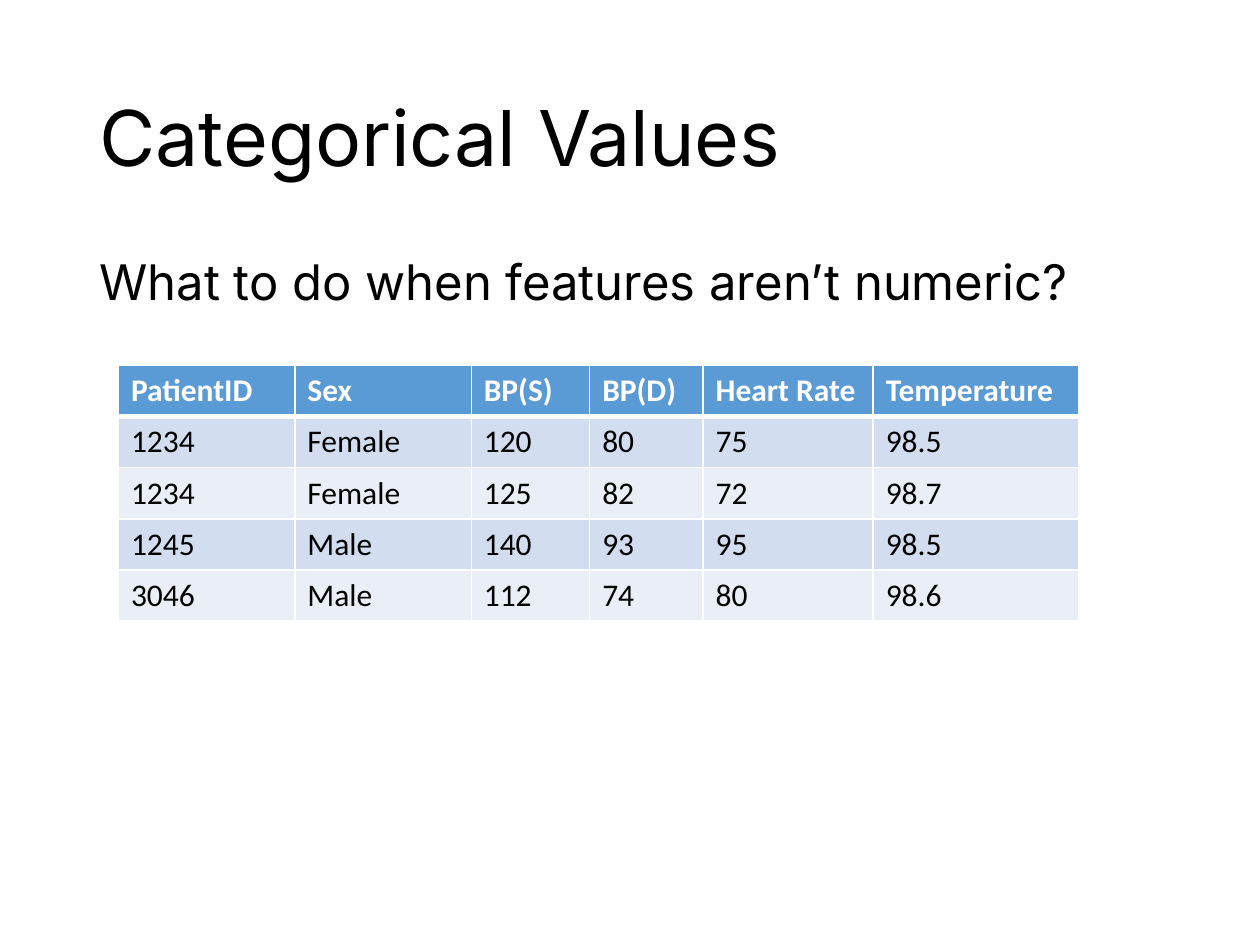
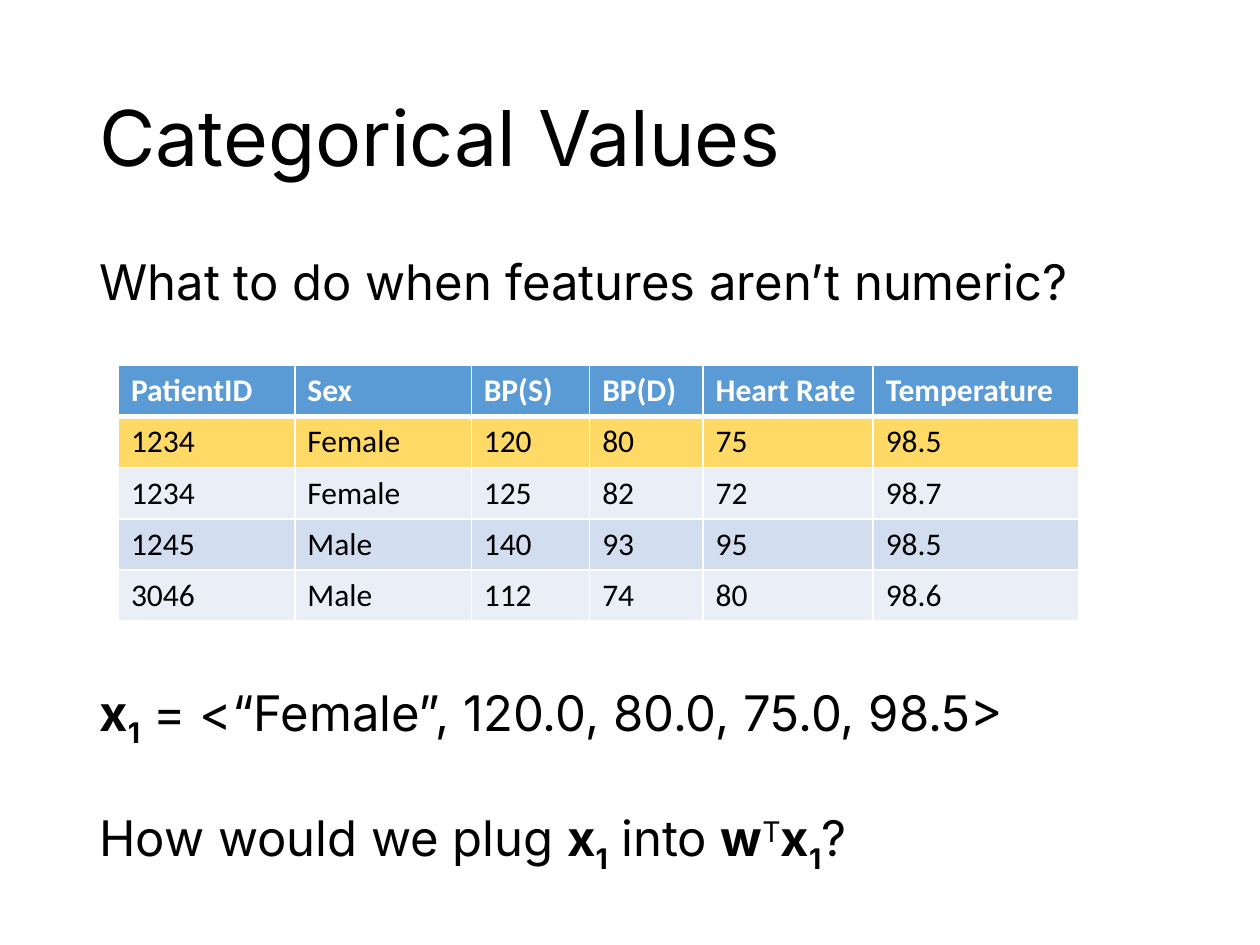
from pptx import Presentation
from pptx import util as u
from pptx.dml.color import RGBColor
from pptx.enum import text
from pptx.oxml import parse_xml
from pptx.oxml.ns import nsdecls

COLORS = {"ink": "000000", "paper": "FFFFFF", "header": "5B9BD5",
          "band_dark": "D2DEEF", "band_light": "EAEFF7", "highlight": "FFD966"}
HEADING_FONT, TABLE_FONT = "Inter", "Calibri"
LEFT, WIDTH = 0.69, 8.62

TITLE = "Categorical Values"
QUESTION = (0, [("What to do when features aren’t numeric?", "")])
X1 = [("x", "bold"), ("1", "bold sub")]
VECTOR = (212.5, X1 + [(" = <“Female”, 120.0, 80.0, 75.0, 98.5>", "")])
PLUG_IN = (37.4, [("How would we plug ", ""), *X1, (" into ", ""),
                  ("w", "bold"), ("T", "super"), *X1, ("?", "")])

PATIENTS = [
    ("PatientID", "Sex", "BP(S)", "BP(D)", "Heart Rate", "Temperature"),
    ("1234", "Female", "120", "80", "75", "98.5"),
    ("1234", "Female", "125", "82", "72", "98.7"),
    ("1245", "Male", "140", "93", "95", "98.5"),
    ("3046", "Male", "112", "74", "80", "98.6"),
]
COLUMN_WIDTHS = [1.4, 1.4, 0.94, 0.9, 1.35, 1.63]
ROW_HEIGHT = 0.406

SLIDES = [
    {"lines": [QUESTION], "body_height": 4.8, "highlighted": None},
    {"lines": [QUESTION, VECTOR, PLUG_IN], "body_height": 5.33, "highlighted": 1},
]


def add_run(paragraph, words, size, font, color, style=""):
    run = paragraph.add_run()
    run.text = words
    run.font.size = u.Pt(size)
    run.font.name = font
    run.font.bold = "bold" in style
    run.font.color.rgb = RGBColor.from_string(COLORS[color])
    if "sub" in style:
        run.font._element.set("baseline", "-25000")
    if "super" in style:
        run.font._element.set("baseline", "30000")


def place(placeholder, top, height, anchor):
    placeholder.left, placeholder.top = u.Inches(LEFT), u.Inches(top)
    placeholder.width, placeholder.height = u.Inches(WIDTH), u.Inches(height)
    frame = placeholder.text_frame
    frame.auto_size = text.MSO_AUTO_SIZE.NONE
    frame.vertical_anchor = anchor
    return frame


def format_line(paragraph, before):
    paragraph.alignment = text.PP_ALIGN.LEFT
    paragraph.line_spacing = 0.9
    paragraph.space_before = u.Pt(before)


def add_title(slide):
    frame = place(slide.shapes.title, 0.4, 1.45, text.MSO_ANCHOR.MIDDLE)
    heading = frame.paragraphs[0]
    format_line(heading, 0)
    add_run(heading, TITLE, 44, HEADING_FONT, "ink")


def add_body(slide, lines, height):
    frame = place(slide.placeholders[1], 2, height, text.MSO_ANCHOR.TOP)
    for index, (gap, pieces) in enumerate(lines):
        line = frame.add_paragraph() if index else frame.paragraphs[0]
        format_line(line, 10 + gap - 10 * bool(gap))
        properties = line._p.get_or_add_pPr()
        properties.set("marL", "0")
        properties.set("indent", "0")
        properties.append(parse_xml(f"<a:buNone {nsdecls('a')}/>"))
        for words, style in pieces:
            add_run(line, words, 28, HEADING_FONT, "ink", style)


def add_borders(cell, row):
    points = {"lnL": 1, "lnR": 1, "lnT": 3 if row == 1 else 1, "lnB": 3 if row == 0 else 1}
    for edge, width in points.items():
        cell._tc.get_or_add_tcPr().append(parse_xml(
            f'<a:{edge} {nsdecls("a")} w="{u.Pt(width)}"><a:solidFill>'
            f'<a:srgbClr val="{COLORS["paper"]}"/></a:solidFill></a:{edge}>'))


def row_fill(row, highlighted):
    if row == 0:
        return "header"
    if row == highlighted:
        return "highlight"
    return "band_dark" if row % 2 else "band_light"


def add_patients(slide, highlighted):
    table = slide.shapes.add_table(
        len(PATIENTS), len(COLUMN_WIDTHS), u.Inches(0.94), u.Inches(2.9),
        u.Inches(sum(COLUMN_WIDTHS)), u.Inches(ROW_HEIGHT * len(PATIENTS))).table
    for column, width in zip(table.columns, COLUMN_WIDTHS):
        column.width = u.Inches(width)
    for row, values in enumerate(PATIENTS):
        table.rows[row].height = u.Inches(ROW_HEIGHT)
        fill = COLORS[row_fill(row, highlighted)]
        color, style = ("ink", "") if row else ("paper", "bold")
        for column, value in enumerate(values):
            cell = table.cell(row, column)
            add_borders(cell, row)
            cell.fill.solid()
            cell.fill.fore_color.rgb = RGBColor.from_string(fill)
            add_run(cell.text_frame.paragraphs[0], value, 18, TABLE_FONT, color, style)


deck = Presentation()
deck.slide_width, deck.slide_height = u.Inches(10), u.Inches(7.5)
for content in SLIDES:
    slide = deck.slides.add_slide(deck.slide_layouts[1])
    slide.background.fill.solid()
    slide.background.fill.fore_color.rgb = RGBColor.from_string(COLORS["paper"])
    add_title(slide)
    add_body(slide, content["lines"], content["body_height"])
    add_patients(slide, content["highlighted"])
deck.save("out.pptx")
